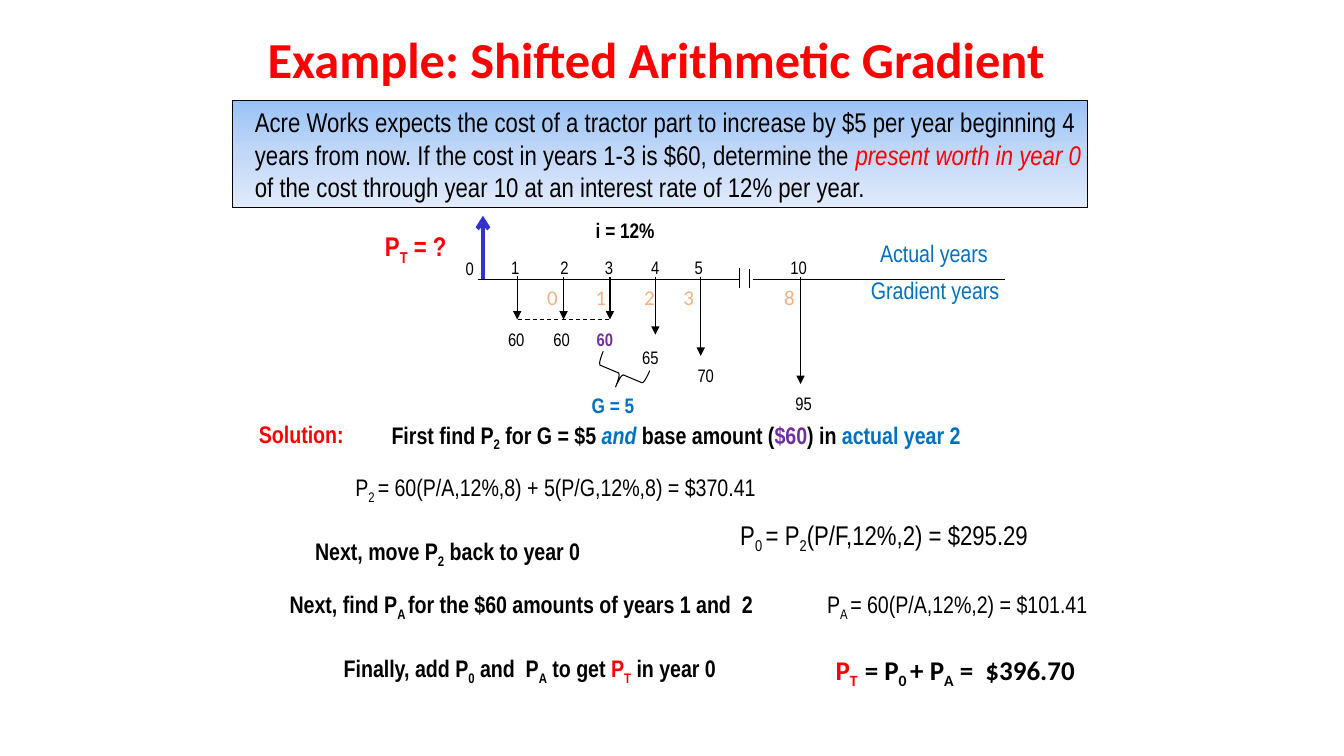
from copy import deepcopy
from dataclasses import dataclass
from typing import Optional

from lxml.etree import SubElement
from pptx import Presentation
from pptx.dml.color import RGBColor
from pptx.enum.dml import MSO_LINE
from pptx.enum.shapes import MSO_CONNECTOR, MSO_SHAPE
from pptx.enum.text import MSO_ANCHOR, MSO_AUTO_SIZE, PP_ALIGN
from pptx.oxml.ns import qn
from pptx.slide import Slide
from pptx.text.text import TextFrame
from pptx.util import Inches, Pt

BLACK = RGBColor(0x00, 0x00, 0x00)
RED = RGBColor(0xFF, 0x00, 0x00)
BLUE = RGBColor(0x00, 0x70, 0xC0)
PURPLE = RGBColor(0x70, 0x30, 0xA0)
ORANGE = RGBColor(0xF4, 0xB1, 0x83)
INDIGO = RGBColor(0x33, 0x33, 0xCC)
PANEL_STOPS = [
    (0, RGBColor(0x9A, 0xC3, 0xF5)),
    (0.5, RGBColor(0xC2, 0xD8, 0xF8)),
    (1, RGBColor(0xE1, 0xEB, 0xFB)),
]
NARROW, CALIBRI = "Arial Narrow", "Calibri"
SMALL, MEDIUM, BODY, LARGE = 12.9, 15, 17.1, 19.3
AXIS = 2.77


@dataclass
class Span:
    text: str
    color: RGBColor = BLACK
    italic: bool = False
    sub: bool = False


@dataclass
class Label:
    left: float
    top: float
    width: float
    height: float
    spans: list[Span]
    size: float = BODY
    bold: bool = False
    font: str = NARROW
    align: PP_ALIGN = PP_ALIGN.CENTER
    wrap: bool = False
    anchor: MSO_ANCHOR = MSO_ANCHOR.TOP


@dataclass
class Line:
    x1: float
    y1: float
    x2: float
    y2: float
    head: Optional[str] = None
    color: RGBColor = BLACK
    weight: float = 0.75
    dashed: bool = False


@dataclass
class Year:
    number: str
    number_center: float
    arrow_x: float
    arrow_tip: float
    cost: str
    cost_center: float
    cost_top: float
    gradient: str = ""
    gradient_center: float = 0
    is_base: bool = False


YEARS = [
    Year("1", 5.11, 5.13, 3.17, "60", 5.12, 3.21),
    Year("2", 5.6, 5.59, 3.17, "60", 5.57, 3.21, "0", 5.48),
    Year("3", 6.04, 6.05, 3.17, "60", 6.0, 3.21, "1", 5.96, True),
    Year("4", 6.5, 6.5, 3.32, "65", 6.45, 3.39, "2", 6.44),
    Year("5", 6.93, 6.95, 3.53, "70", 7.0, 3.57, "3", 6.83),
    Year("10", 7.92, 7.94, 3.81, "95", 7.97, 3.84, "8", 7.83),
]

AXIS_LINES = [
    Line(4.74, AXIS, 7.33, AXIS),
    Line(7.47, AXIS, 9.97, AXIS),
    Line(7.33, 2.66, 7.33, 2.86),
    Line(7.43, 2.86, 7.43, 2.67),
    Line(5.13, 2.74, 5.13, 2.88),
    Line(5.14, 3.17, 6.05, 3.17, dashed=True),
    Line(4.79, AXIS, 4.79, 2.14, "arrow", INDIGO, 3),
]

LABELS = [
    Label(2.43, 1, 8.57, 1.07, [
        Span("Acre Works expects the cost of a tractor part to increase by $5 per year "
             "beginning 4 years from now. If the cost in years 1-3 is $60, determine the "),
        Span("present worth in year 0 ", RED, italic=True),
        Span("of the cost through year 10 at an interest rate of 12% per year."),
    ], LARGE, align=PP_ALIGN.LEFT, wrap=True),
    Label(2.47, 4.11, 1.06, 0.39, [Span("Solution:", RED)], bold=True, align=PP_ALIGN.LEFT),
    Label(3.72, 2.23, 0.83, 0.43, [Span("P", RED), Span("T", RED, sub=True), Span(" = ?", RED)],
          LARGE, True, align=PP_ALIGN.LEFT),
    Label(5.81, 2.11, 0.79, 0.35, [Span("i = 12%")], MEDIUM, True, align=PP_ALIGN.LEFT),
    Label(5.77, 3.84, 0.63, 0.35, [Span("G = 5", BLUE)], MEDIUM, True, align=PP_ALIGN.LEFT),
    Label(8.54, 2.68, 1.5, 0.39, [Span("Gradient years", BLUE)], align=PP_ALIGN.LEFT),
    Label(8.63, 2.32, 1.29, 0.39, [Span("Actual years", BLUE)], align=PP_ALIGN.LEFT),
    Label(3.68, 4.15, 6.05, 0.36, [
        Span("First find P"), Span("2", sub=True), Span(" for G = $5 "),
        Span("and", BLUE, italic=True), Span(" base amount ("), Span("$60", PURPLE),
        Span(") in "), Span("actual year 2", BLUE),
    ], bold=True, wrap=True, anchor=MSO_ANCHOR.MIDDLE),
    Label(3.1, 4.64, 4.82, 0.39, [
        Span("P"), Span("2 ", sub=True), Span("= 60(P/A,12%,8) + 5(P/G,12%,8) = $370.41"),
    ], wrap=True),
    Label(2.92, 5.27, 3.04, 0.39, [
        Span("Next, move P"), Span("2", sub=True), Span(" back to year 0"),
    ], bold=True, wrap=True),
    Label(7.22, 5.09, 3.1, 0.43, [
        Span("P"), Span("0 ", sub=True), Span("= P"), Span("2", sub=True),
        Span("(P/F,12%,2) = $295.29"),
    ], LARGE),
    Label(2.73, 5.8, 4.88, 0.39, [
        Span("Next, find P"), Span("A ", sub=True),
        Span("for the $60 amounts of years 1 and  2"),
    ], bold=True),
    Label(8.08, 5.8, 2.83, 0.39, [
        Span("P"), Span("A ", sub=True), Span("= 60(P/A,12%,2) = $101.41"),
    ]),
    Label(3.27, 6.43, 3.97, 0.39, [
        Span("Finally, add P"), Span("0", sub=True), Span(" and  P"), Span("A", sub=True),
        Span(" to get "), Span("P", RED), Span("T", RED, sub=True), Span(" in year 0"),
    ], bold=True),
    Label(8.16, 6.43, 2.63, 0.43, [
        Span("P", RED), Span("T  ", RED, sub=True), Span("= P"), Span("0 ", sub=True),
        Span("+ P"), Span("A", sub=True), Span(" =  $396.70"),
    ], LARGE, True, CALIBRI),
]


def write_label(frame: TextFrame, label: Label) -> None:
    """Fill a text frame with the formatted spans of a label."""
    frame.auto_size = MSO_AUTO_SIZE.NONE
    frame.word_wrap = label.wrap
    frame.vertical_anchor = label.anchor
    para = frame.paragraphs[0]
    para.alignment = label.align
    for span in label.spans:
        run = para.add_run()
        run.text = span.text
        run.font.name = label.font
        run.font.size = Pt(label.size)
        run.font.bold = label.bold
        run.font.italic = span.italic
        run.font.color.rgb = span.color
        if span.sub:
            run.font._element.set("baseline", "-25000")


def add_label(page: Slide, label: Label) -> None:
    """Add a label as a text box."""
    box = page.shapes.add_textbox(
        Inches(label.left), Inches(label.top), Inches(label.width), Inches(label.height))
    write_label(box.text_frame, label)


def add_line(page: Slide, line: Line) -> None:
    """Add a straight line with an optional arrowhead at its end."""
    connector = page.shapes.add_connector(
        MSO_CONNECTOR.STRAIGHT, Inches(line.x1), Inches(line.y1), Inches(line.x2), Inches(line.y2))
    connector.line.color.rgb = line.color
    connector.line.width = Pt(line.weight)
    if line.dashed:
        connector.line.dash_style = MSO_LINE.DASH
    if line.head:
        SubElement(connector.line._get_or_add_ln(), qn("a:tailEnd"), type=line.head)
    SubElement(connector._element.spPr, qn("a:effectLst"))


def add_panel(page: Slide) -> None:
    """Add the gradient panel behind the problem statement."""
    panel = page.shapes.add_shape(
        MSO_SHAPE.RECTANGLE, Inches(2.31), Inches(1), Inches(8.48), Inches(1.06))
    panel.shadow.inherit = False
    panel.line.color.rgb = BLACK
    panel.line.width = Pt(0.75)
    panel.fill.gradient()
    panel.fill.gradient_angle = 270
    stop_list = panel._element.spPr.find(".//" + qn("a:gsLst"))
    stop_list.append(deepcopy(stop_list[0]))
    for stop, (position, color) in zip(panel.fill.gradient_stops, PANEL_STOPS):
        stop.position = position
        stop.color.rgb = color


def add_brace(page: Slide) -> None:
    """Add the brace that spans the first gradient step."""
    brace = page.shapes.add_shape(
        MSO_SHAPE.LEFT_BRACE, Inches(6.02), Inches(3.46), Inches(0.28), Inches(0.5))
    brace.rotation = 292.8
    brace.adjustments[0] = 0.084
    brace.shadow.inherit = False
    brace.fill.background()
    brace.line.color.rgb = BLACK
    brace.line.width = Pt(0.75)


def add_year(page: Slide, year: Year) -> None:
    """Add one year's arrow, number, cost and gradient number."""
    add_line(page, Line(year.arrow_x, 2.75, year.arrow_x, year.arrow_tip, "triangle"))
    add_label(page, Label(year.number_center - 0.19, 2.49, 0.38, 0.32, [Span(year.number)], SMALL))
    cost = Span(year.cost, PURPLE if year.is_base else BLACK)
    add_label(page, Label(year.cost_center - 0.19, year.cost_top, 0.38, 0.32, [cost],
                          SMALL, year.is_base))
    if year.gradient:
        add_label(page, Label(year.gradient_center - 0.19, AXIS, 0.38, 0.35,
                              [Span(year.gradient, ORANGE)], MEDIUM, font=CALIBRI))


def main() -> None:
    """Build the slide and save the deck."""
    deck = Presentation()
    deck.slide_width, deck.slide_height = Inches(13.33), Inches(7.5)
    page = deck.slides.add_slide(deck.slide_layouts[5])
    title = page.shapes.title
    title.left, title.top, title.width, title.height = (
        Inches(2.41), Inches(0.18), Inches(8.2), Inches(0.8))
    write_label(title.text_frame, Label(
        2.41, 0.18, 8.2, 0.8, [Span("Example: Shifted Arithmetic Gradient", RED)],
        36, True, CALIBRI, wrap=True, anchor=MSO_ANCHOR.MIDDLE))
    add_panel(page)
    for line in AXIS_LINES:
        add_line(page, line)
    add_label(page, Label(4.47, 2.5, 0.38, 0.32, [Span("0")], SMALL))
    for year in YEARS:
        add_year(page, year)
    add_brace(page)
    for label in LABELS:
        add_label(page, label)
    deck.save("out.pptx")


if __name__ == "__main__":
    main()
